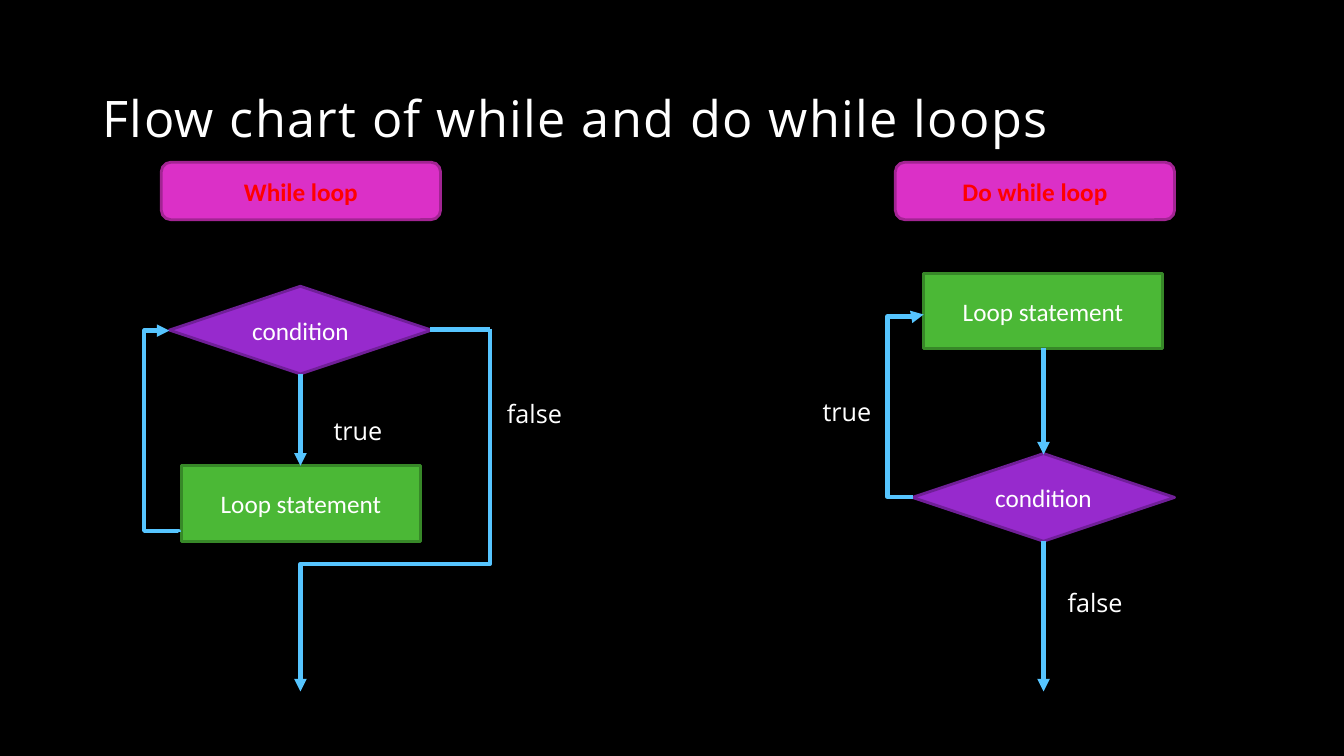
from lxml import etree
from pptx import Presentation
from pptx.dml.color import RGBColor
from pptx.enum import shapes, text
from pptx.oxml import ns
from pptx.util import Inches, Pt

WHITE, RED, BLUE = "FFFFFF", "FF0000", "56C5FF"


def color(value):
    return RGBColor.from_string(value)


def write(shape, words, size, font, font_color, anchor):
    frame = shape.text_frame
    frame.word_wrap = True
    frame.vertical_anchor = anchor
    paragraph = frame.paragraphs[0]
    paragraph.text = words
    paragraph.font.size = Pt(size)
    paragraph.font.name = font
    paragraph.font.color.rgb = color(font_color)
    return paragraph


presentation = Presentation()
presentation.slide_width, presentation.slide_height = Inches(13.33), Inches(7.5)
slide = presentation.slides.add_slide(presentation.slide_layouts[6])
slide.background.fill.solid()
slide.background.fill.fore_color.rgb = color("000000")

title = slide.shapes.add_textbox(Inches(0.92), Inches(0.07), Inches(11.5), Inches(1.45))
paragraph = write(title, "Flow chart of while and do while loops", 36, "Open Sans",
                  WHITE, text.MSO_ANCHOR.BOTTOM)
paragraph.line_spacing = 0.9
paragraph.runs[0].font._element.set("spc", "100")

preset = shapes.MSO_SHAPE
styles = {
    "heading": (preset.ROUNDED_RECTANGLE, 2.77, 0.57, "DB30C7", "A22493", RED),
    "condition": (preset.DIAMOND, 2.6, 0.87, "972ACD", "701F98", WHITE),
    "statement": (preset.RECTANGLE, 2.37, 0.75, "4BB836", "378828", WHITE),
}
nodes = [
    ("heading", "While loop", 1.6, 1.61),
    ("condition", "condition", 1.68, 2.84),
    ("statement", "Loop statement", 1.8, 4.62),
    ("heading", "Do while loop", 8.88, 1.61),
    ("statement", "Loop statement", 9.16, 2.71),
    ("condition", "condition", 9.05, 4.5),
]
for kind, words, left, top in nodes:
    outline, width, height, fill, line, font_color = styles[kind]
    shape = slide.shapes.add_shape(outline, Inches(left), Inches(top), Inches(width), Inches(height))
    shape.shadow.inherit = False
    shape.fill.solid()
    shape.fill.fore_color.rgb = color(fill)
    shape.line.color.rgb = color(line)
    shape.line.width = Pt(2)
    paragraph = write(shape, words, 18, "Calibri", font_color, text.MSO_ANCHOR.MIDDLE)
    paragraph.alignment = text.PP_ALIGN.CENTER
    paragraph.font.bold = kind == "heading"

straight, elbow = shapes.MSO_CONNECTOR.STRAIGHT, shapes.MSO_CONNECTOR.ELBOW
connectors = [
    (straight, 2.98, 3.71, 2.98, 4.62, 0, [], True),
    (elbow, 0.73, 4.32, 2.72, 4.23, 270, [0.002, 3.775], True),
    (elbow, 2.12, 4.12, 5.72, 6.0, 90, [0.648], True),
    (straight, 4.26, 3.27, 4.86, 3.27, 0, [], False),
    (straight, 10.35, 3.45, 10.35, 4.51, 0, [], True),
    (elbow, 9.16, 3.12, 9.05, 4.93, 180, [-2.264, 0.989], True),
    (straight, 10.35, 5.37, 10.35, 6.86, 0, [], True),
]
for kind, x1, y1, x2, y2, rotation, bends, arrow in connectors:
    connector = slide.shapes.add_connector(kind, Inches(x1), Inches(y1), Inches(x2), Inches(y2))
    connector.line.color.rgb = color(BLUE)
    connector.line.width = Pt(3)
    properties = connector._element.spPr
    if arrow:
        etree.SubElement(properties.find(ns.qn("a:ln")), ns.qn("a:tailEnd"), type="triangle")
    etree.SubElement(properties, ns.qn("a:effectLst"))
    if bends:
        properties.find(ns.qn("a:xfrm")).set("rot", str(rotation * 60000))
        geometry = properties.find(ns.qn("a:prstGeom"))
        geometry.set("prst", f"bentConnector{len(bends) + 2}")
        adjustments = geometry.find(ns.qn("a:avLst"))
        for number, bend in enumerate(bends, 1):
            etree.SubElement(adjustments, ns.qn("a:gd"), name=f"adj{number}",
                             fmla=f"val {round(bend * 100000)}")

labels = [("true", 3.21, 4.07), ("false", 4.93, 3.9), ("true", 8.06, 3.88), ("false", 10.49, 5.78)]
for words, left, top in labels:
    label = slide.shapes.add_textbox(Inches(left), Inches(top), Inches(0.97), Inches(0.4))
    write(label, words, 18, "Open Sans", WHITE, text.MSO_ANCHOR.TOP)

presentation.save("out.pptx")
